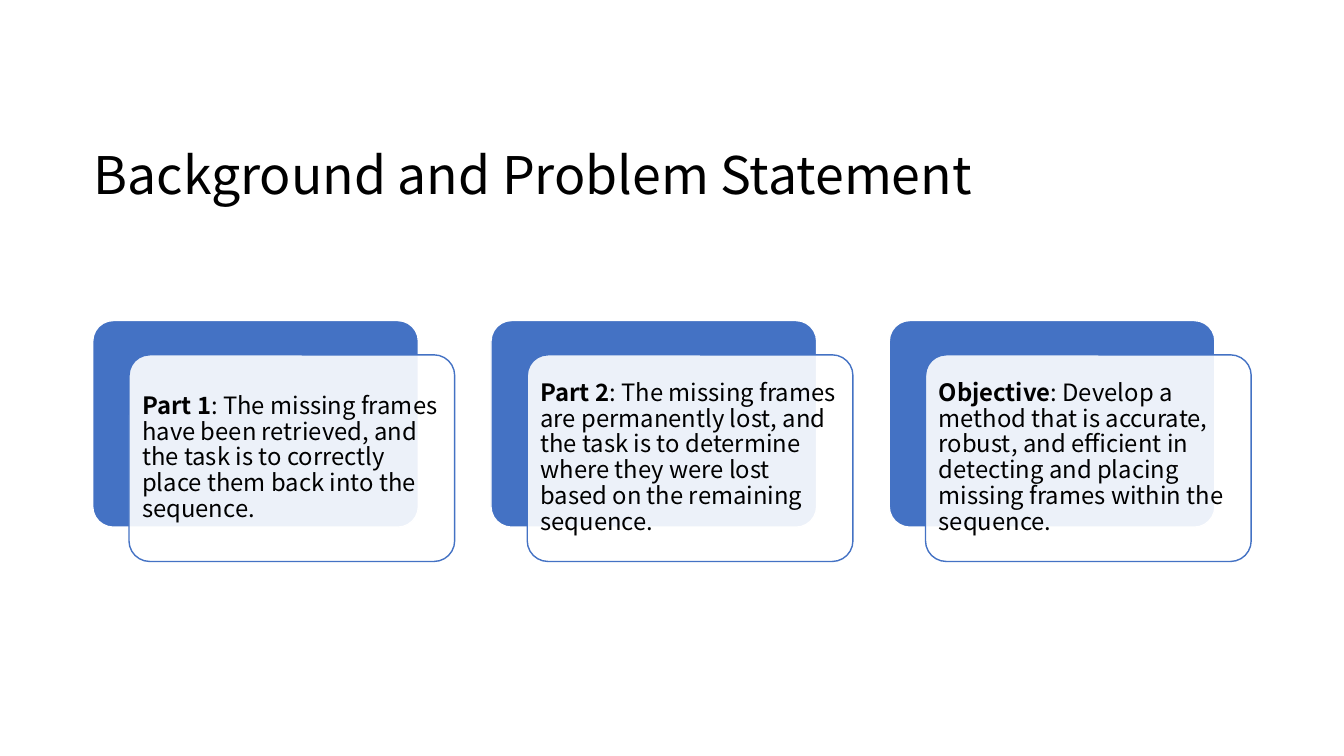
from dataclasses import dataclass

from lxml import etree
from pptx import Presentation
from pptx.dml.color import RGBColor
from pptx.enum.shapes import MSO_SHAPE
from pptx.enum.text import MSO_ANCHOR
from pptx.oxml.ns import qn
from pptx.util import Inches, Pt

ROUNDED = MSO_SHAPE.ROUNDED_RECTANGLE
MIDDLE = MSO_ANCHOR.MIDDLE


@dataclass(frozen=True)
class Theme:
    """Colours, font and type sizes of the slide."""
    font: str = "Noto Sans CJK SC"
    ink: str = "000000"
    paper: str = "FFFFFF"
    accent: str = "4472C4"
    title_size: int = 37
    body_size: int = 17


class SlideBuilder:
    """Draws themed elements on the current slide."""

    def __init__(self, s, theme):
        """Keep the slide, its theme and the target shape collection."""
        self.theme = theme
        self.shapes = s.shapes

    def group(self):
        """Send the elements that follow into a new group."""
        self.shapes = self.shapes.add_group_shape().shapes

    def panel(self, box, fill, line, opacity=100):
        """Add a rounded panel with an outline."""
        sp = self.shapes.add_shape(ROUNDED, *map(Inches, box))
        sp.shadow.inherit = False
        sp.adjustments[0] = 0.1
        sp.fill.solid()
        sp.fill.fore_color.rgb = RGBColor.from_string(fill)
        sp.line.color.rgb = RGBColor.from_string(line)
        sp.line.width = Pt(1)
        if opacity < 100:
            color = sp._element.spPr.find(qn("a:solidFill"))[0]
            etree.SubElement(color, qn("a:alpha"), val=str(opacity * 1000))

    def text(self, box, runs, size, inset=(0.1, 0.05), spacing=1.0):
        """Add a wrapped paragraph of (text, bold) runs."""
        tf = self.shapes.add_textbox(*map(Inches, box)).text_frame
        side, end = map(Inches, inset)
        frame_format = {"word_wrap": True, "vertical_anchor": MIDDLE,
                        "margin_left": side, "margin_right": side,
                        "margin_top": end, "margin_bottom": end}
        for name, value in frame_format.items():
            setattr(tf, name, value)
        p = tf.paragraphs[0]
        p.line_spacing = spacing
        for content, bold in runs:
            r = p.add_run()
            r.text = content
            font_format = {"name": self.theme.font, "size": Pt(size), "bold": bold}
            for name, value in font_format.items():
                setattr(r.font, name, value)
            r.font.color.rgb = RGBColor.from_string(self.theme.ink)

    def card(self, left, top, label, body):
        """Add a solid panel, an offset translucent panel and its text."""
        t = self.theme
        width, height, pad = 3.23, 2.05, 0.06
        front_left, front_top = left + 0.36, top + 0.34
        self.panel((left, top, width, height), t.accent, t.paper)
        self.panel((front_left, front_top, width, height), t.paper, t.accent, 90)
        self.text((front_left + pad, front_top + pad, width - 2 * pad, height - 2 * pad),
                  [(label, True), (": " + body, False)],
                  t.body_size, inset=(0.07, 0.07), spacing=0.9)


CARDS = [
    ("Part 1", "The missing frames have been retrieved, and the task is to "
               "correctly place them back into the sequence."),
    ("Part 2", "The missing frames are permanently lost, and the task is to "
               "determine where they were lost based on the remaining sequence."),
    ("Objective", "Develop a method that is accurate, robust, and efficient in "
                  "detecting and placing missing frames within the sequence."),
]


def main():
    """Build and save the slide."""
    prs = Presentation()
    prs.slide_width, prs.slide_height = Inches(13.33), Inches(7.5)
    s = prs.slides.add_slide(prs.slide_layouts[6])
    theme = Theme()
    builder = SlideBuilder(s, theme)
    builder.text((0.83, 0.94, 10.49, 1.57),
                 [("Background and Problem Statement", False)], theme.title_size)
    builder.group()
    for i, (label, body) in enumerate(CARDS):
        builder.card(0.92 + 3.95 * i, 3.18, label, body)
    prs.save("out.pptx")


if __name__ == "__main__":
    main()
